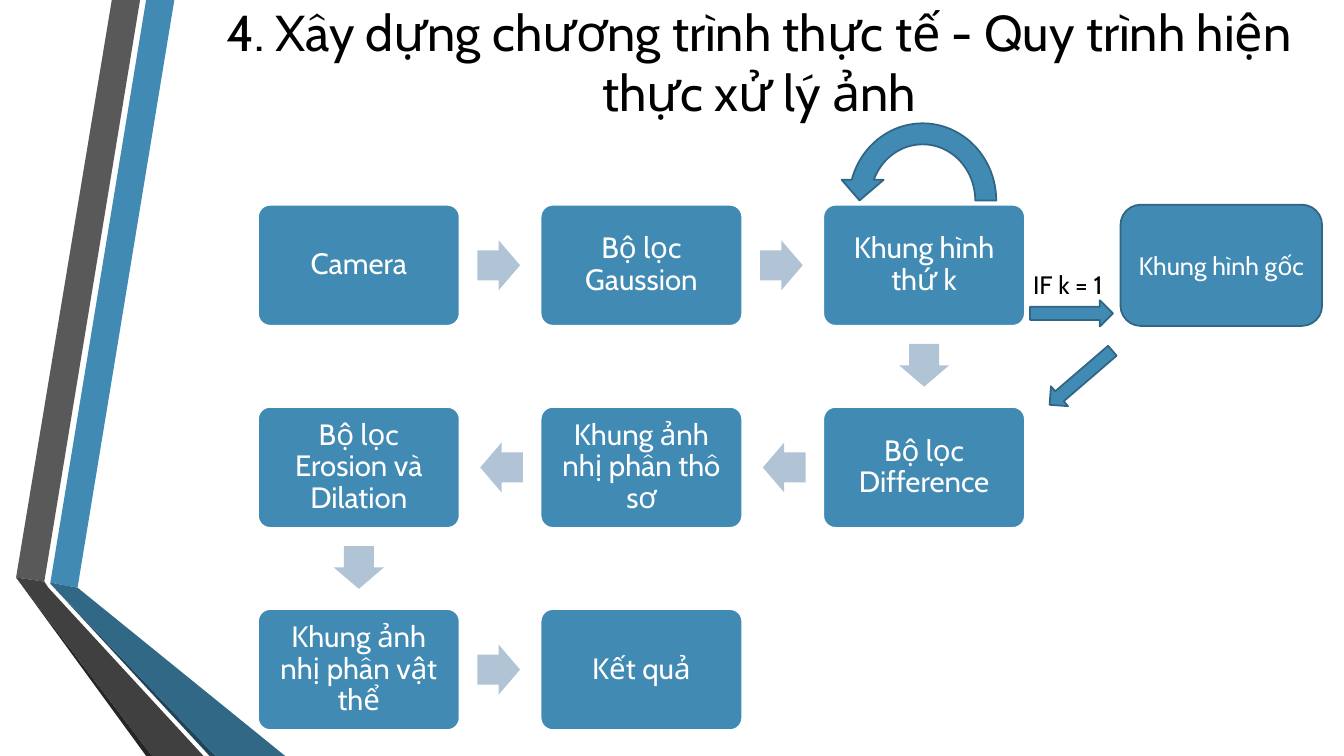
"""Build the slide that shows the image processing flow."""
from pptx import Presentation
from pptx.dml.color import RGBColor
from pptx.enum.shapes import MSO_SHAPE as Kind
from pptx.enum.text import MSO_ANCHOR as Anchor, PP_ALIGN as Align
from pptx.util import Pt

BLUE = RGBColor(0x41, 0x8A, 0xB3)
EDGE = RGBColor(0x30, 0x66, 0x84)
PALE = RGBColor(0xB0, 0xC4, 0xD6)
WHITE = RGBColor(0xFF, 0xFF, 0xFF)
BLACK = RGBColor(0, 0, 0)
GREY = RGBColor(0x59, 0x59, 0x59)
DARK = RGBColor(0x40, 0x40, 0x40)
COAL = RGBColor(0x26, 0x26, 0x26)
NAVY = RGBColor(0x20, 0x45, 0x5A)
TEAL = RGBColor(0x31, 0x68, 0x86)

deck = Presentation()
deck.slide_width, deck.slide_height = Pt(960), Pt(540)
slide = deck.slides.add_slide(deck.slide_layouts[6])
shapes = slide.shapes


def add_form(kind, x, y, w, h, fill, line=None):
    form = shapes.add_shape(kind, Pt(x), Pt(y), Pt(w), Pt(h))
    form.shadow.inherit = False
    form.fill.solid()
    form.fill.fore_color.rgb = fill
    if line is None:
        form.line.fill.background()
    else:
        form.line.color.rgb = line
        form.line.width = Pt(1.25)
    return form


def write(form, text, size, color, align=Align.CENTER):
    frame = form.text_frame
    frame.word_wrap = True
    frame.vertical_anchor = Anchor.MIDDLE
    para = frame.paragraphs[0]
    para.text = text
    para.alignment = align
    para.font.name = "Cabin"
    para.font.size = Pt(size)
    para.font.color.rgb = color
    return frame


bands = [
    (BLUE, [(50, 578), (77, 583), (173, 0), (145, 0)]),
    (GREY, [(139, 0), (111, 0), (16, 573), (44, 577)]),
    (COAL, [(16, 573), (145, 750), (151, 750)]),
    (NAVY, [(50, 579), (208, 750), (214, 750)]),
    (TEAL, [(50, 578), (50, 579), (214, 750), (283, 750), (77, 583)]),
    (DARK, [(16, 573), (151, 750), (202, 750), (48, 583), (44, 577)]),
]
for color, dots in bands:
    pen = shapes.build_freeform(*dots[0], scale=Pt(0.72))
    pen.add_line_segments(dots[1:], close=True)
    band = pen.convert_to_shape()
    band.shadow.inherit = False
    band.fill.solid()
    band.fill.fore_color.rgb = color
    band.line.fill.background()

title = shapes.add_textbox(Pt(124.6), Pt(0), Pt(835.4), Pt(88))
write(title, "4. Xây dựng chương trình thực tế - Quy trình hiện thực xử lý ảnh",
      36, BLACK)

BOX_W, BOX_H = 144, 86.4
STEP_X, STEP_Y = 201.9, 144.4
LEFT, TOP = 184.3, 146.3
ARROW_W, ARROW_H = 30.5, 35.7
steps = [
    ("Camera", 0, 0),
    ("Bộ lọc Gaussion", 1, 0),
    ("Khung hình thứ k", 2, 0),
    ("Bộ lọc Difference", 2, 1),
    ("Khung ảnh nhị phân thô sơ", 1, 1),
    ("Bộ lọc Erosion và Dilation", 0, 1),
    ("Khung ảnh nhị phân vật thể", 0, 2),
    ("Kết quả", 1, 2),
]
for text, col, row in steps:
    box = add_form(Kind.ROUNDED_RECTANGLE, LEFT + col * STEP_X,
                   TOP + row * STEP_Y, BOX_W, BOX_H, BLUE, WHITE)
    box.adjustments[0] = 0.1
    frame = write(box, text, 21, WHITE)
    frame.margin_left = frame.margin_right = Pt(9)
    frame.margin_top = frame.margin_bottom = Pt(9)
    frame.paragraphs[0].line_spacing = 0.9

turns = {(1, 0): 0, (0, 1): 90, (-1, 0): 180}
for (_, col, row), (_, col2, row2) in zip(steps, steps[1:]):
    dx, dy = col2 - col, row2 - row
    mid_x = LEFT + BOX_W / 2 + (col + 0.495 * dx) * STEP_X
    mid_y = TOP + BOX_H / 2 + (row + 0.495 * dy) * STEP_Y
    arrow = add_form(Kind.RIGHT_ARROW, mid_x - ARROW_W / 2,
                     mid_y - ARROW_H / 2, ARROW_W, ARROW_H, PALE)
    arrow.adjustments[0] = 0.6
    arrow.rotation = turns[dx, dy]

base = add_form(Kind.ROUNDED_RECTANGLE, 800.4, 146.2, 144, 86.6, BLUE, EDGE)
write(base, "Khung hình gốc", 18, WHITE)

for x, y, turn in [(735.8, 214.5, 0), (742.5, 260.5, 139.3)]:
    arrow = add_form(Kind.RIGHT_ARROW, x, y, 59.2, 18.7, BLUE, EDGE)
    arrow.rotation = turn

label = shapes.add_textbox(Pt(730.8), Pt(188.9), Pt(70), Pt(29))
write(label, "IF k = 1", 18, BLACK, Align.LEFT)

loop = add_form(Kind.CIRCULAR_ARROW, 599, 80.6, 120.2, 125.3, BLUE, EDGE)
loop.element.spPr.xfrm.set("flipH", "1")

deck.save("out.pptx")
